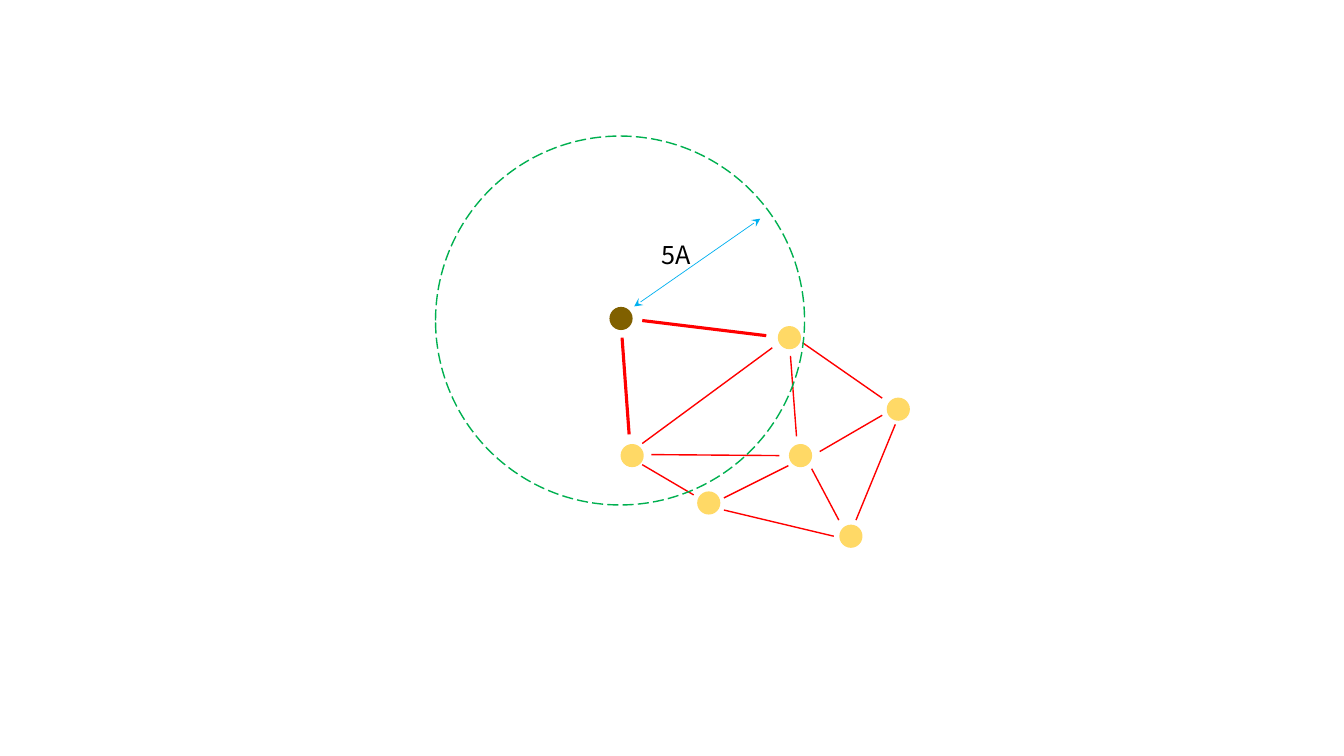
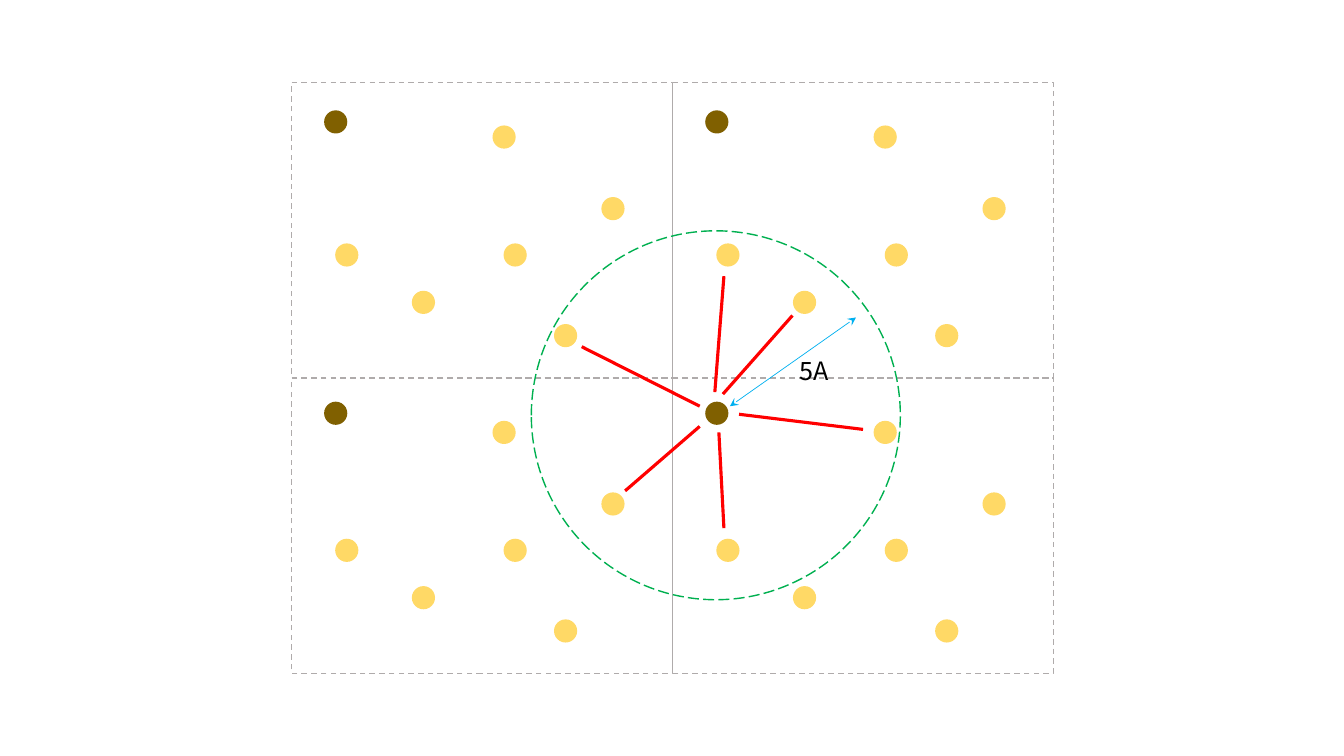
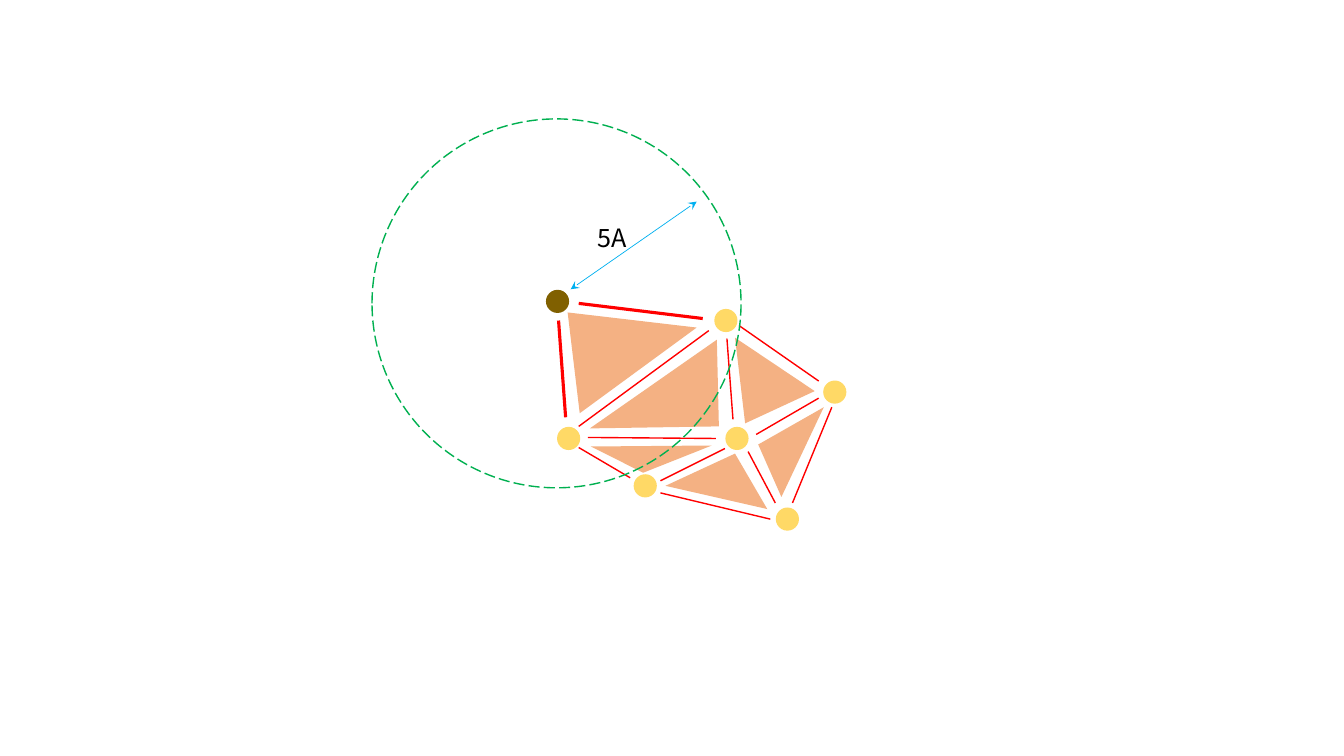
import itertools

import pptx
import pptx.dml.color
import pptx.enum.dml
import pptx.enum.shapes
import pptx.enum.text
import pptx.oxml.ns
import pptx.util
from lxml import etree

HUB, ATOM, BOND, REACH, CUTOFF, CELL, FACE, INK = (
    "806000", "FFD966", "FF0000", "00B0F0", "00B050", "AFABAB", "F4B183", "000000")
FONT = "Noto Sans CJK SC"
ATOM_SIZE, CUTOFF_SIZE = 0.23, 3.66
STRONG, WEAK, THIN = 2.25, 1, 0.5

# Positions below are inches relative to the centre of the hub atom.
NEIGHBOURS = [(1.67, 0.19), (1.78, 1.36), (0.87, 1.83),
              (2.28, 2.16), (2.75, 0.9), (0.11, 1.36)]
HUB_BONDS = [((0.21, 0.02), (1.44, 0.17)), ((0.01, 0.19), (0.08, 1.15))]
NEIGHBOUR_BONDS = [
    ((0.21, 1.45), (0.72, 1.75)), ((1.02, 1.78), (1.66, 1.46)),
    ((0.3, 1.35), (1.57, 1.36)), ((0.21, 1.24), (1.5, 0.29)),
    ((1.74, 1.17), (1.68, 0.37)), ((2.59, 0.79), (1.8, 0.24)),
    ((2.59, 0.96), (1.97, 1.32)), ((2.16, 2), (1.89, 1.49)),
    ((2.11, 2.16), (1.02, 1.9)), ((2.33, 2), (2.72, 1.05)),
]
PERIODIC_BONDS = [
    ((0.22, 0.01), (1.45, 0.16)), ((0.02, 0.19), (0.07, 1.14)),
    ((0.06, -0.19), (0.75, -0.97)), ((-0.02, -0.21), (0.07, -1.36)),
    ((-0.17, -0.07), (-1.34, -0.66)), ((-0.17, 0.13), (-0.91, 0.77)),
]
FACES = [
    [(0.1, 0.11), (1.38, 0.26), (0.22, 1.11)],
    [(0.32, 1.26), (1.58, 0.38), (1.6, 1.24)],
    [(1.86, 1.21), (1.76, 0.36), (2.55, 0.89)],
    [(0.33, 1.44), (1.53, 1.43), (0.85, 1.7)],
    [(1.07, 1.83), (1.76, 1.51), (2.08, 2.06)],
    [(1.99, 1.42), (2.64, 1.05), (2.22, 1.94)],
]
CLUSTER_REACH = ((0.13, -0.12), (1.38, -0.99))
CLUSTER_LABEL = (0.3, -0.83)
PERIODIC_REACH = ((0.13, -0.07), (1.38, -0.95))
PERIODIC_LABEL = (0.72, -0.62)

# The grid of repeated cells, and the place of the hub and its frame in a cell.
GRID = (2.89, 0.82)
CELL_SIZE = (3.78, 2.93)
FRAME_HUB = (0.44, 0.35)
HUB_DROPS = (0.39, 0.35)

SHAPE = pptx.enum.shapes.MSO_SHAPE
DASH = pptx.enum.dml.MSO_LINE
inch = pptx.util.Inches


def rgb(code):
    return pptx.dml.color.RGBColor.from_string(code)


def shift(origin, offset):
    return origin[0] + offset[0], origin[1] + offset[1]


def style(shape, fill=None, line=None, dash=None):
    shape.shadow.inherit = False
    if fill:
        shape.fill.solid()
        shape.fill.fore_color.rgb = rgb(fill)
    else:
        shape.fill.background()
    if line:
        shape.line.color.rgb = rgb(line)
        shape.line.width = pptx.util.Pt(1)
        shape.line.dash_style = dash
    else:
        shape.line.fill.background()


def disc(slide, centre, size, **look):
    left, top = shift(centre, (-size / 2, -size / 2))
    style(slide.shapes.add_shape(SHAPE.OVAL, inch(left), inch(top),
                                 inch(size), inch(size)), **look)


def atoms(slide, hub, offsets, color):
    for offset in offsets:
        disc(slide, shift(hub, offset), ATOM_SIZE, fill=color)


def segment(slide, hub, ends, color, width, arrows=False):
    (x1, y1), (x2, y2) = (shift(hub, end) for end in ends)
    connector = slide.shapes.add_connector(
        pptx.enum.shapes.MSO_CONNECTOR.STRAIGHT,
        inch(x1), inch(y1), inch(x2), inch(y2))
    connector.line.color.rgb = rgb(color)
    connector.line.width = pptx.util.Pt(width)
    if arrows:
        for tag in ("a:headEnd", "a:tailEnd"):
            etree.SubElement(connector.line._get_or_add_ln(),
                             pptx.oxml.ns.qn(tag), type="stealth")
    etree.SubElement(connector._element.spPr, pptx.oxml.ns.qn("a:effectLst"))


def bonds(slide, hub, pairs, width):
    for ends in pairs:
        segment(slide, hub, ends, BOND, width)


def radius(slide, hub, ends, label_offset):
    """Draw the double arrow and its length."""
    segment(slide, hub, ends, REACH, THIN, arrows=True)
    left, top = shift(hub, label_offset)
    label = slide.shapes.add_textbox(inch(left), inch(top), inch(0.54), inch(0.4))
    label.text_frame.word_wrap = False
    label.text_frame.auto_size = pptx.enum.text.MSO_AUTO_SIZE.SHAPE_TO_FIT_TEXT
    paragraph = label.text_frame.paragraphs[0]
    paragraph.text = "5A"
    paragraph.font.size = pptx.util.Pt(18)
    paragraph.font.name = FONT
    paragraph.font.color.rgb = rgb(INK)


def cutoff(slide, hub):
    disc(slide, shift(hub, (-0.01, 0.02)), CUTOFF_SIZE,
         line=CUTOFF, dash=DASH.LONG_DASH)


def face(slide, hub, corners):
    start, *rest = [tuple(map(inch, shift(hub, corner))) for corner in corners]
    outline = slide.shapes.build_freeform(*start)
    outline.add_line_segments(rest, close=True)
    style(outline.convert_to_shape(), fill=FACE)


def cluster_slide(slide, hub, faces=()):
    atoms(slide, hub, [(0, 0)], HUB)
    atoms(slide, hub, NEIGHBOURS, ATOM)
    bonds(slide, hub, HUB_BONDS, STRONG)
    bonds(slide, hub, NEIGHBOUR_BONDS, WEAK)
    radius(slide, hub, CLUSTER_REACH, CLUSTER_LABEL)
    for corners in faces:
        face(slide, hub, corners)
    cutoff(slide, hub)


def periodic_slide(slide):
    for row, column in itertools.product((1, 0), (1, 0)):
        corner = shift(GRID, (column * CELL_SIZE[0], row * CELL_SIZE[1]))
        hub = shift(corner, (FRAME_HUB[0], HUB_DROPS[row]))
        atoms(slide, hub, [(0, 0)], HUB)
        atoms(slide, shift(corner, FRAME_HUB), NEIGHBOURS, ATOM)
        style(slide.shapes.add_shape(SHAPE.RECTANGLE, *map(inch, corner + CELL_SIZE)),
              line=CELL, dash=DASH.DASH)
    centre = shift(shift(GRID, CELL_SIZE), FRAME_HUB)
    radius(slide, centre, PERIODIC_REACH, PERIODIC_LABEL)
    bonds(slide, centre, PERIODIC_BONDS, STRONG)
    cutoff(slide, centre)


def main():
    deck = pptx.Presentation()
    deck.slide_width, deck.slide_height = inch(13.33), inch(7.5)
    blank = deck.slide_layouts[6]
    cluster_slide(deck.slides.add_slide(blank), (6.16, 3.16))
    periodic_slide(deck.slides.add_slide(blank))
    cluster_slide(deck.slides.add_slide(blank), (5.53, 2.99), FACES)
    deck.save("out.pptx")


if __name__ == "__main__":
    main()
